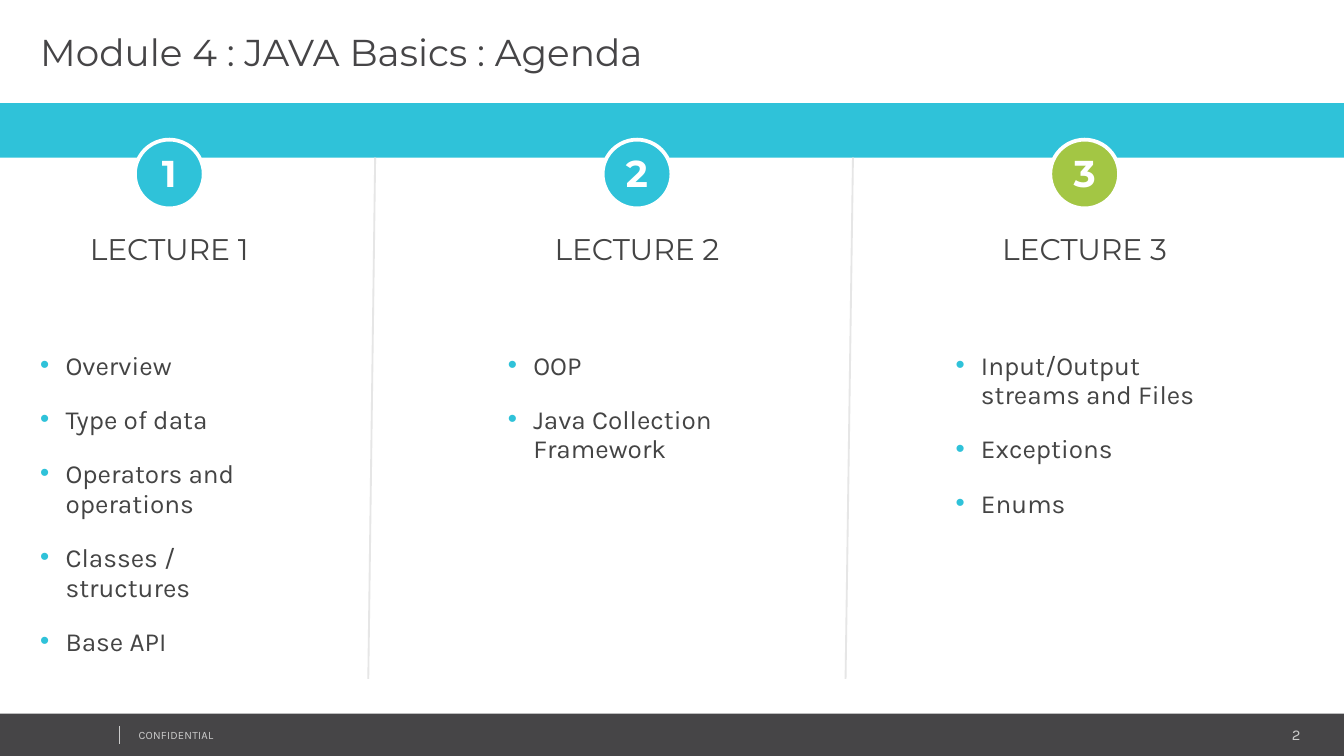
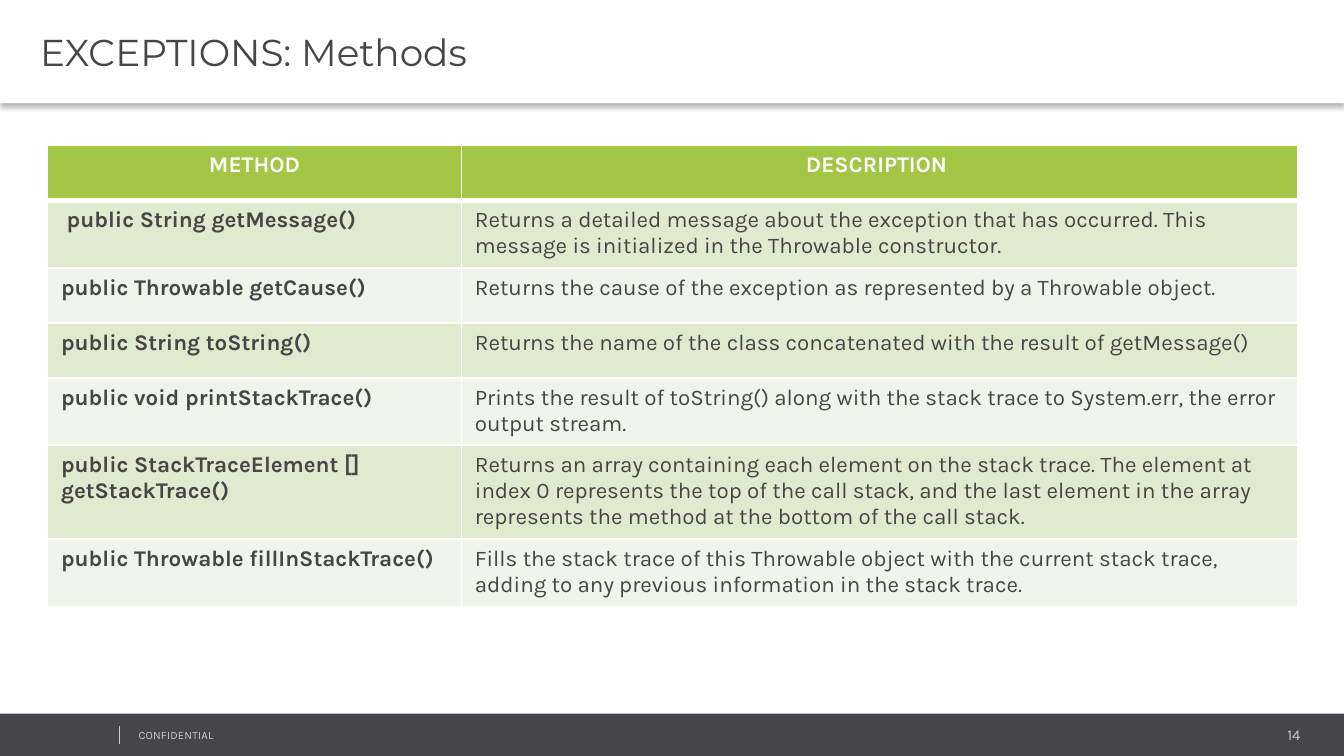
from dataclasses import dataclass

from lxml.etree import SubElement
from pptx import Presentation
from pptx.dml.color import RGBColor
from pptx.enum.shapes import MSO_CONNECTOR as Link, MSO_SHAPE as Preset
from pptx.enum.text import MSO_ANCHOR as Anchor, MSO_AUTO_SIZE as Fit, PP_ALIGN as Align
from pptx.oxml.ns import qn
from pptx.util import Cm, Pt


@dataclass(frozen=True)
class Theme:
    heading: str = "Montserrat"
    body: str = "Karla"
    dark: str = "464547"
    text: str = "444444"
    white: str = "FFFFFF"
    cyan: str = "2FC2D9"
    green: str = "A3C644"
    rule: str = "E6E6E6"
    muted: str = "CCCCCC"
    stripes: tuple = ("E0EACF", "F0F5E9")
    title_size: float = 20
    lecture_size: float = 16
    list_size: float = 14
    table_size: float = 12
    number_size: float = 8
    label_size: float = 6


@dataclass(frozen=True)
class Box:
    left: float
    top: float
    width: float
    height: float

    def inner(self, left, top, width, height):
        return Box(self.left + left, self.top + top, width, height)

    def lengths(self):
        return [Cm(value) for value in (self.left, self.top, self.width, self.height)]


THEME = Theme()
PAGE = Box(0, 0, 25.4, 14.29)
TITLE = PAGE.inner(0, 0, PAGE.width, 1.95)
BODY = PAGE.inner(0, TITLE.height, PAGE.width, 11.54)
FOOTER = PAGE.inner(0, 13.49, PAGE.width, 0.8)
FOOTER_FRAME = {"margin_left": Cm(0.18), "margin_right": Cm(0.18),
                "margin_top": Cm(0.1), "margin_bottom": Cm(0.1)}

LECTURES = [
    (0.51, THEME.cyan, ["Overview", "Type of data", "Operators and operations",
                        "Classes / structures", "Base API"]),
    (9.35, THEME.cyan, ["OOP", "Java Collection Framework"]),
    (17.81, THEME.green, ["Input/Output streams and Files", "Exceptions", "Enums"]),
]
DIVIDERS = [(6.96, 7.09), (15.98, 16.12)]

METHODS = [
    ("METHOD", "DESCRIPTION "),
    (" public String getMessage()",
     "Returns a detailed message about the exception that has occurred. "
     "This message is initialized in the Throwable constructor."),
    ("public Throwable getCause()",
     "Returns the cause of the exception as represented by a Throwable object."),
    ("public String toString()",
     "Returns the name of the class concatenated with the result of getMessage()"),
    ("public void printStackTrace()",
     "Prints the result of toString() along with the stack trace to System.err, "
     "the error output stream."),
    ("public StackTraceElement [] getStackTrace()",
     "Returns an array containing each element on the stack trace. "
     "The element at index 0 represents the top of the call stack, and the last element "
     "in the array represents the method at the bottom of the call stack."),
    ("public Throwable fillInStackTrace()",
     "Fills the stack trace of this Throwable object with the current stack trace, "
     "adding to any previous information in the stack trace."),
]


def rgb(color):
    return RGBColor.from_string(color)


def assign(target, values):
    for name, value in values.items():
        setattr(target, name, value)


def paint(shape, color):
    shape.fill.solid()
    shape.fill.fore_color.rgb = rgb(color)


def write(para, text, font, size, color, bold=False, **layout):
    assign(para, layout)
    span = para.add_run()
    span.text = text
    assign(span.font, {"name": font, "size": Pt(size), "bold": bold})
    span.font.color.rgb = rgb(color)
    return span


def add_text(page, box, **frame_values):
    frame = page.shapes.add_textbox(*box.lengths()).text_frame
    assign(frame, {"word_wrap": True, **frame_values})
    return frame


def add_block(page, preset, box, color):
    shape = page.shapes.add_shape(preset, *box.lengths())
    shape.shadow.inherit = False
    paint(shape, color)
    shape.line.fill.background()
    return shape


def add_rule(page, start, end, color, width):
    ends = [Cm(value) for value in (*start, *end)]
    rule = page.shapes.add_connector(Link.STRAIGHT, *ends)
    rule.line.color.rgb = rgb(color)
    rule.line.width = Pt(width)
    SubElement(rule._element.spPr, qn("a:effectLst"))


def add_bullet(para, color):
    settings = para._p.get_or_add_pPr()
    assign_indent = {"marL": str(Cm(0.48)), "indent": str(-Cm(0.48))}
    for name, value in assign_indent.items():
        settings.set(name, value)
    tint = SubElement(settings, qn("a:buClr"))
    SubElement(tint, qn("a:srgbClr"), val=color)
    SubElement(settings, qn("a:buFont"), typeface="Arial")
    SubElement(settings, qn("a:buChar"), char="•")


def add_title(page, box, text):
    title = page.shapes.title
    assign(title, dict(zip(("left", "top", "width", "height"), box.lengths())))
    paint(title, THEME.white)
    effects = SubElement(title._element.spPr, qn("a:effectLst"))
    shadow = SubElement(effects, qn("a:outerShdw"), blurRad=str(Pt(3.1)),
                        dist=str(Pt(2)), dir="5400000", algn="t", rotWithShape="0")
    tint = SubElement(shadow, qn("a:srgbClr"), val="000000")
    SubElement(tint, qn("a:alpha"), val="30000")
    frame = title.text_frame
    assign(frame, {**FOOTER_FRAME, "margin_left": Cm(0.76), "word_wrap": True,
                   "auto_size": Fit.NONE, "vertical_anchor": Anchor.MIDDLE})
    write(frame.paragraphs[0], text, THEME.heading, THEME.title_size, THEME.dark,
          alignment=Align.LEFT)


def add_footer(page, box, number):
    add_block(page, Preset.RECTANGLE, box, THEME.dark)
    frame = add_text(page, box.inner(20.62, 0.12, 4.14, 0.53), **FOOTER_FRAME)
    write(frame.paragraphs[0], str(number), THEME.body, THEME.number_size, THEME.muted,
          alignment=Align.RIGHT)
    frame = add_text(page, box.inner(2.44, 0.18, 6.43, 0.46), **FOOTER_FRAME)
    label = write(frame.paragraphs[0], "CONFIDENTIAL", THEME.body, THEME.label_size, THEME.muted)
    label.font._element.set("spc", "10")
    rule_left = box.left + 2.26
    add_rule(page, (rule_left, box.top + 0.23), (rule_left, box.top + 0.58), THEME.muted, 0.25)


def add_lecture(page, box, number, color, topics):
    size = 1.3
    badge = add_block(page, Preset.OVAL,
                      box.inner((box.width - size) / 2, 0, size, size), color)
    badge.line.color.rgb = rgb(THEME.white)
    badge.line.width = Pt(2)
    frame = badge.text_frame
    assign(frame, {"margin_left": 0, "margin_right": 0, "margin_top": Cm(0.08),
                   "margin_bottom": Cm(0.13), "vertical_anchor": Anchor.MIDDLE})
    write(frame.paragraphs[0], str(number), THEME.heading, THEME.title_size, THEME.white, True,
          alignment=Align.CENTER)
    heading = add_text(page, box.inner(0, 1.63, box.width, 0.89))
    write(heading.paragraphs[0], f"LECTURE {number}", THEME.heading, THEME.lecture_size,
          THEME.text, alignment=Align.CENTER, line_spacing=Pt(18))
    listing = add_text(page, box.inner(0, 3.86, box.width, box.height - 3.86))
    for index, topic in enumerate(topics):
        para = listing.add_paragraph() if index else listing.paragraphs[0]
        write(para, topic, THEME.body, THEME.list_size, THEME.text,
              line_spacing=Pt(16), space_after=Pt(13))
        add_bullet(para, THEME.cyan)


def add_agenda(page, box):
    add_block(page, Preset.RECTANGLE, box.inner(0, 0, box.width, 1.03), THEME.cyan)
    for bottom, top in DIVIDERS:
        add_rule(page, (box.left + bottom, box.top + 10.88), (box.left + top, box.top + 1.03),
                 THEME.rule, 1)
    for number, (left, color, topics) in enumerate(LECTURES, 1):
        add_lecture(page, box.inner(left, 0.69, 5.38, 9.4), number, color, topics)


def add_borders(cell, widths):
    settings = cell._tc.get_or_add_tcPr()
    for index, (side, width) in enumerate(widths.items()):
        border = SubElement(settings, qn(f"a:ln{side}"), w=str(Pt(width)))
        fill = SubElement(border, qn("a:solidFill"))
        SubElement(fill, qn("a:srgbClr"), val=THEME.white)
        settings.insert(index, border)


def add_methods(page, box):
    holder = page.shapes.add_table(len(METHODS), 2, *box.lengths())
    table = holder.table
    for column, width in zip(table.columns, (7.82, 15.8)):
        column.width = Cm(width)
    for index, (row, texts) in enumerate(zip(table.rows, METHODS)):
        row.height = Cm(1.04)
        header = index == 0
        for position, (cell, text) in enumerate(zip(row.cells, texts)):
            paint(cell, THEME.green if header else THEME.stripes[(index - 1) % 2])
            add_borders(cell, {"L": 1, "R": 1, "T": 3 if index == 1 else 1,
                               "B": 3 if header else 1})
            write(cell.text_frame.paragraphs[0], text, THEME.body, THEME.table_size,
                  THEME.white if header else THEME.dark, header or position == 0,
                  alignment=Align.CENTER if header else Align.LEFT)


def add_page(deck, title, number):
    page = deck.slides.add_slide(deck.slide_layouts.get_by_name("Title Only"))
    add_title(page, TITLE, title)
    add_footer(page, FOOTER, number)
    return page


def main():
    deck = Presentation()
    assign(deck, {"slide_width": Cm(PAGE.width), "slide_height": Cm(PAGE.height)})
    add_agenda(add_page(deck, "Module 4 : JAVA Basics : Agenda", 2), BODY)
    add_methods(add_page(deck, "EXCEPTIONS: Methods", 14), BODY.inner(0.9, 0.8, 23.62, 7.28))
    deck.save("out.pptx")


if __name__ == "__main__":
    main()
